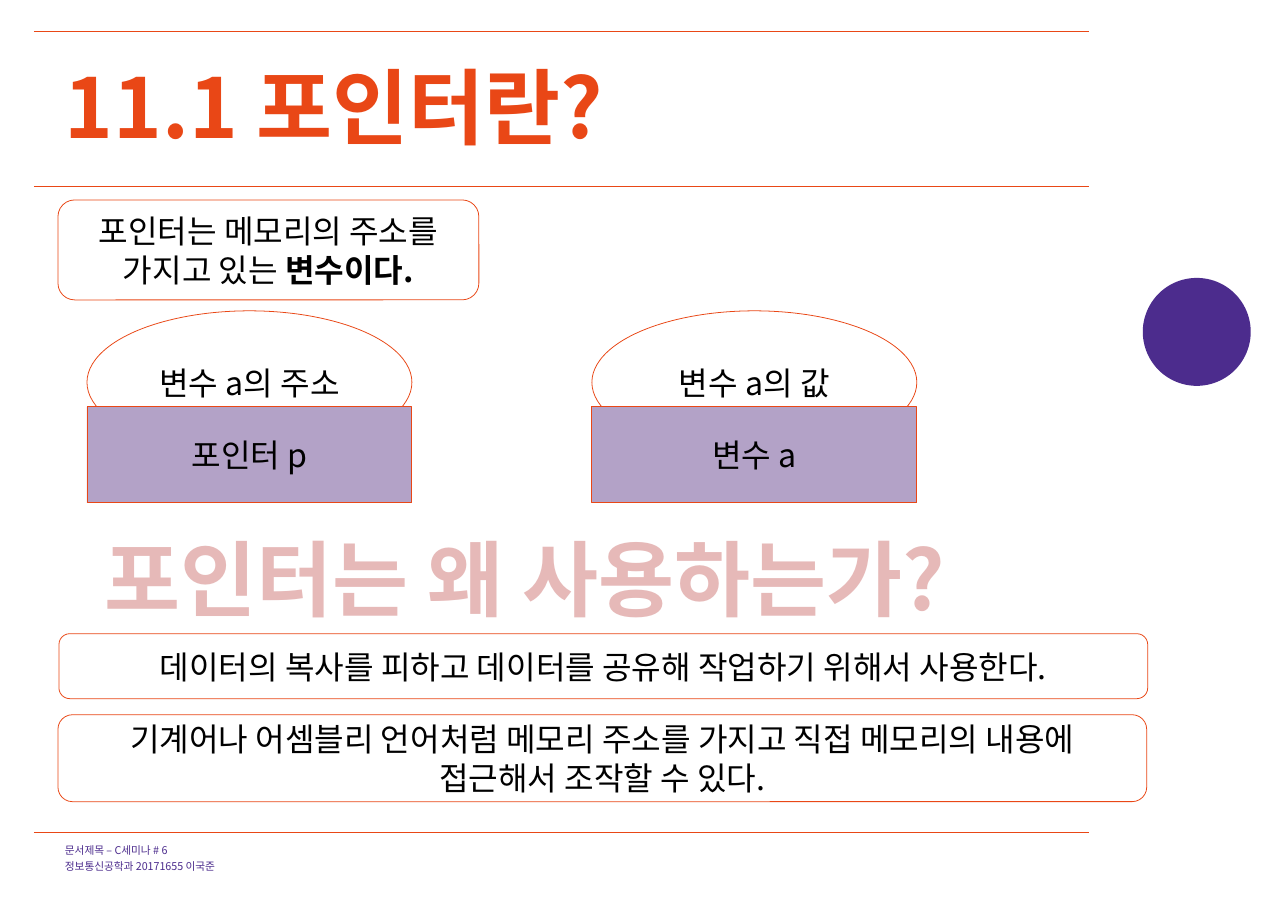
from dataclasses import dataclass

from lxml import etree
from pptx import Presentation
from pptx import util as u
from pptx.dml.color import RGBColor
from pptx.enum import shapes, text
from pptx.oxml import ns

EMU_PER_PX = u.Inches(1) / 110.2


@dataclass(frozen=True)
class Theme:
    """Colours, type sizes and line widths of the slide."""
    font: str = "Noto Sans CJK KR"
    accent: str = "E94716"
    purple: str = "4C2C8D"
    lilac: str = "B3A2C7"
    pink: str = "E6B9B8"
    ink: str = "000000"
    heading: float = 54
    body: float = 21
    small: float = 7
    rule: float = 0.3
    outline: float = 0.5


THEME = Theme()


def px(*values):
    """Turn pixels into EMU."""
    return [u.Emu(round(v * EMU_PER_PX)) for v in values]


def rgb(code):
    """Turn a hex code into a colour."""
    return RGBColor.from_string(code)


def style(p, size, color, bold=False, align=text.PP_ALIGN.LEFT):
    """Format a paragraph, with the same font for Latin and Korean."""
    p.alignment = align
    font = p.font
    font.name, font.size, font.bold = THEME.font, u.Pt(size), bold
    font.color.rgb = rgb(color)
    latin = p._p.pPr.find(".//" + ns.qn("a:latin"))
    ea = etree.Element(ns.qn("a:ea"), typeface=THEME.font)
    latin.addnext(ea)


def clear_insets(tf):
    """Set text flush with the top left of its frame."""
    tf.margin_left = tf.margin_right = tf.margin_top = tf.margin_bottom = 0
    tf.vertical_anchor = text.MSO_ANCHOR.TOP
    tf.word_wrap = True


def add_rule(s, y):
    """Draw a thin line across the text area."""
    x1, x2, y = px(34, 1089, y)
    line = s.shapes.add_connector(shapes.MSO_CONNECTOR.STRAIGHT, x1, y, x2, y)
    line.line.color.rgb = rgb(THEME.accent)
    line.line.width = u.Pt(THEME.rule)
    etree.SubElement(line._element.spPr, ns.qn("a:effectLst"))


def add_shape(s, kind, box, fill=None, line=THEME.accent):
    """Add a preset shape with an optional fill and outline."""
    sp = s.shapes.add_shape(kind, *px(*box))
    sp.shadow.inherit = False
    if fill:
        sp.fill.solid()
        sp.fill.fore_color.rgb = rgb(fill)
    else:
        sp.fill.background()
    if line:
        sp.line.color.rgb = rgb(line)
        sp.line.width = u.Pt(THEME.outline)
    else:
        sp.line.fill.background()
    return sp


def add_label(s, kind, box, words, fill=None, strong=""):
    """Add a shape with centred words, the last ones optionally bold."""
    sp = add_shape(s, kind, box, fill)
    tf = sp.text_frame
    tf.word_wrap = True
    tf.vertical_anchor = text.MSO_ANCHOR.MIDDLE
    p = tf.paragraphs[0]
    p.add_run().text = words
    if strong:
        r = p.add_run()
        r.text, r.font.bold = strong, True
    style(p, THEME.body, THEME.ink, align=text.PP_ALIGN.CENTER)


def add_variable(s, x, value, name):
    """Show a variable as a named box with its value rising behind it."""
    add_label(s, shapes.MSO_SHAPE.OVAL, (x, 311, 325, 143), value)
    add_label(s, shapes.MSO_SHAPE.RECTANGLE, (x, 407, 325, 96), name, THEME.lilac)


def set_title(s, words):
    """Place and format the title placeholder."""
    sp = s.shapes.title
    sp.left, sp.top, sp.width, sp.height = px(65, 56, 1024, 75)
    tf = sp.text_frame
    tf.text = words
    clear_insets(tf)
    tf.auto_size = text.MSO_AUTO_SIZE.NONE
    style(tf.paragraphs[0], THEME.heading, THEME.accent, bold=True)


def add_heading(s, words):
    """Add the large centred question."""
    tf = s.shapes.add_textbox(*px(65, 523, 920, 111)).text_frame
    tf.word_wrap = True
    tf.text = words
    style(tf.paragraphs[0], THEME.heading, THEME.pink, True, text.PP_ALIGN.CENTER)


def add_footer(s, lines):
    """Add the small document details."""
    tf = s.shapes.add_textbox(*px(65, 843, 1024, 31)).text_frame
    clear_insets(tf)
    tf.text = "\n".join(lines)
    for p in tf.paragraphs:
        style(p, THEME.small, THEME.purple)
        p.line_spacing = u.Pt(9)
        p.space_before = u.Pt(1.4)


def main():
    """Build the slide."""
    prs = Presentation()
    prs.slide_width, prs.slide_height = u.Inches(11.69), u.Inches(8.27)
    s = prs.slides.add_slide(prs.slide_layouts[5])

    for y in (31, 186, 833):
        add_rule(s, y)
    add_shape(s, shapes.MSO_SHAPE.OVAL, (1143, 278, 108, 108), THEME.purple, None)

    set_title(s, "11.1 포인터란?")
    add_footer(s, ["문서제목 – C세미나 # 6", "정보통신공학과 20171655 이국준"])

    rounded = shapes.MSO_SHAPE.ROUNDED_RECTANGLE
    add_label(s, rounded, (58, 200, 421, 100),
              "포인터는 메모리의 주소를 가지고 있는 ", strong="변수이다.")
    add_variable(s, 592, "변수 a의 값", "변수 a")
    add_variable(s, 87, "변수 a의 주소", "포인터 p")

    add_heading(s, "포인터는 왜 사용하는가?")
    add_label(s, rounded, (59, 634, 1089, 65),
              "데이터의 복사를 피하고 데이터를 공유해 작업하기 위해서 사용한다.")
    add_label(s, rounded, (58, 715, 1089, 87),
              "기계어나 어셈블리 언어처럼 메모리 주소를 가지고 직접 메모리의 내용에 "
              "접근해서 조작할 수 있다.")
    prs.save("out.pptx")


main()
